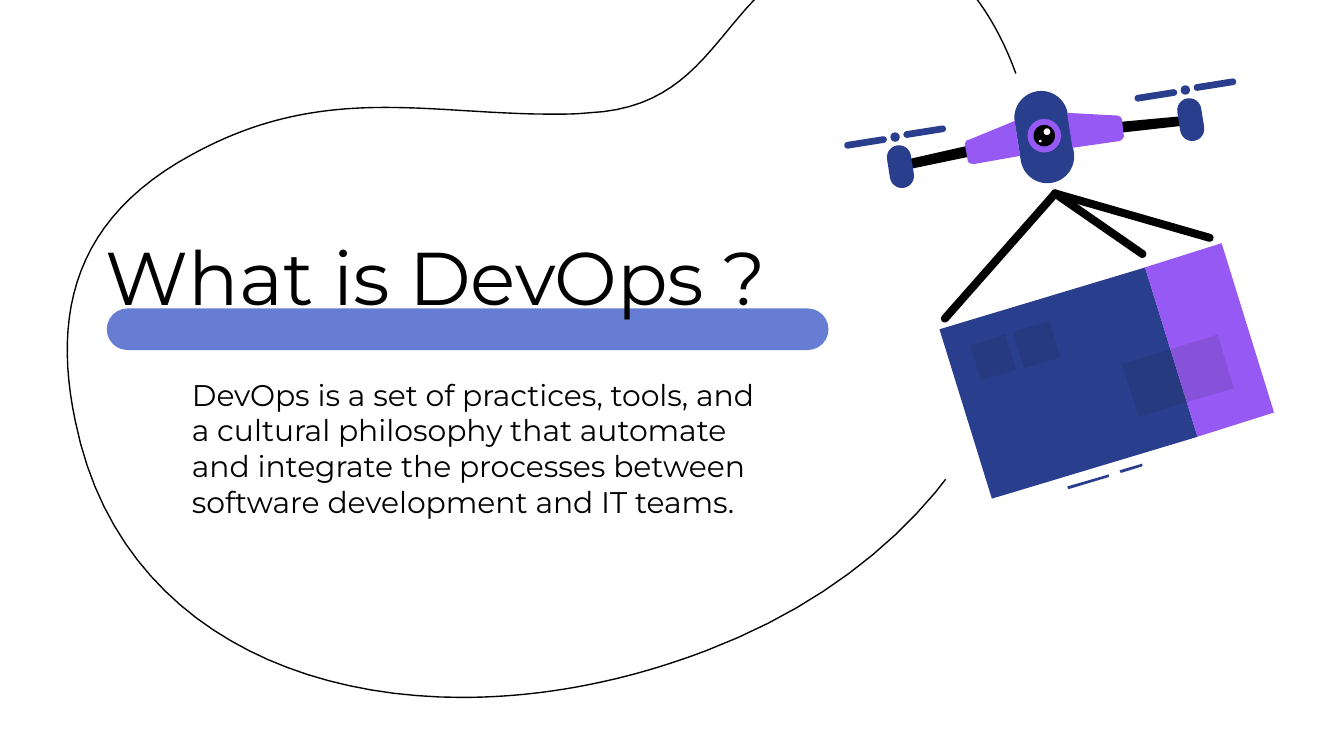
from math import atan2, degrees, hypot

from lxml.etree import SubElement
from pptx import Presentation
from pptx.dml.color import RGBColor
from pptx.enum.shapes import MSO_SHAPE as Shape
from pptx.enum.text import MSO_ANCHOR as Anchor, PP_ALIGN as Align
from pptx.oxml.ns import qn
from pptx.util import Inches, Pt

COLOURS = {
    "black": "000000",
    "white": "FFFFFF",
    "navy": "293E8D",
    "violet": "9659F4",
    "periwinkle": "677DD3",
    "shade": "1A2327",
}


class SlideArtist:
    font = "Montserrat"
    curve_steps = 24

    def __init__(self, slide):
        self.slide = slide

    def rgb(self, colour):
        return RGBColor.from_string(COLOURS[colour])

    def paint(self, shape, colour, opacity=100):
        shape.shadow.inherit = False
        shape.line.fill.background()
        shape.fill.solid()
        shape.fill.fore_color.rgb = self.rgb(colour)
        if opacity < 100:
            tint = shape.fill._xPr.find(qn("a:solidFill"))[0]
            SubElement(tint, qn("a:alpha"), val=str(opacity * 1000))

    def text(self, words, left, top, width, height, size, space_after=0):
        box = self.slide.shapes.add_textbox(
            Inches(left), Inches(top), Inches(width), Inches(height))
        frame = box.text_frame
        frame.word_wrap = True
        frame.vertical_anchor = Anchor.TOP
        frame.margin_left = frame.margin_right = Inches(0.1)
        frame.margin_top = frame.margin_bottom = Inches(0.1)
        paragraph = frame.paragraphs[0]
        paragraph.alignment = Align.LEFT
        paragraph.space_after = Pt(space_after)
        run = paragraph.add_run()
        run.text = words
        run.font.name = self.font
        run.font.size = Pt(size)
        run.font.color.rgb = self.rgb("black")

    def bar(self, x, y, width, height, colour, angle=0):
        shape = self.slide.shapes.add_shape(
            Shape.ROUNDED_RECTANGLE, Inches(x - width / 2),
            Inches(y - height / 2), Inches(width), Inches(height))
        shape.adjustments[0] = 0.5
        shape.rotation = angle
        self.paint(shape, colour)

    def rope(self, start, end, thickness=0.06):
        (x1, y1), (x2, y2) = start, end
        run, rise = x2 - x1, y2 - y1
        self.bar((x1 + x2) / 2, (y1 + y2) / 2, hypot(run, rise) + thickness,
                 thickness, "black", degrees(atan2(rise, run)))

    def circle(self, x, y, diameter, colour):
        shape = self.slide.shapes.add_shape(
            Shape.OVAL, Inches(x - diameter / 2), Inches(y - diameter / 2),
            Inches(diameter), Inches(diameter))
        self.paint(shape, colour)

    def trace(self, start, segments):
        points = [start]
        for segment in segments:
            if len(segment) == 2:
                points.append(segment)
                continue
            x0, y0 = points[-1]
            x1, y1, x2, y2, x3, y3 = segment
            for step in range(1, self.curve_steps + 1):
                t = step / self.curve_steps
                a, b, c, d = (1 - t) ** 3, 3 * t * (1 - t) ** 2, 3 * t * t * (1 - t), t ** 3
                points.append((a * x0 + b * x1 + c * x2 + d * x3,
                               a * y0 + b * y1 + c * y2 + d * y3))
        corners = [(Inches(x), Inches(y)) for x, y in points]
        builder = self.slide.shapes.build_freeform(*corners[0], scale=1.0)
        builder.add_line_segments(corners[1:], close=True)
        return builder.convert_to_shape()

    def area(self, start, segments, colour, opacity=100):
        self.paint(self.trace(start, segments), colour, opacity)

    def contour(self, start, segments, weight):
        shape = self.trace(start, segments)
        shape.shadow.inherit = False
        shape.fill.background()
        shape.line.color.rgb = self.rgb("black")
        shape.line.width = Pt(weight)


def draw_crate(artist):
    panels = [
        ([(8.25, 3.53), (7.94, 3.62), (7.95, 3.64), (8.25, 3.55)], "navy", 100),
        ([(8.5, 3.45), (8.33, 3.5), (8.34, 3.52), (8.5, 3.47)], "navy", 100),
        ([(8.52, 1.99), (6.99, 2.45), (7.38, 3.71), (8.91, 3.25)], "navy", 100),
        ([(9.09, 1.81), (8.52, 1.99), (8.91, 3.25), (9.48, 3.07)], "violet", 100),
        ([(9.06, 2.49), (8.35, 2.71), (8.47, 3.1), (9.18, 2.89)], "shade", 13),
        ([(7.48, 2.49), (7.22, 2.57), (7.3, 2.83), (7.56, 2.75)], "shade", 13),
        ([(7.81, 2.39), (7.54, 2.47), (7.62, 2.74), (7.89, 2.66)], "shade", 13),
    ]
    for corners, colour, opacity in panels:
        artist.area(corners[0], corners[1:], colour, opacity)


def draw_drone(artist):
    tilt = -9
    artist.bar(7.77, 1.02, 0.4, 0.69, "navy", tilt)
    for x, y, diameter, colour in [
        (7.77, 1.01, 0.25, "violet"), (7.77, 1.01, 0.16, "black"),
        (7.79, 0.98, 0.05, "white"), (7.74, 1.05, 0.02, "white"),
    ]:
        artist.circle(x, y, diameter, colour)

    artist.area((8.85, 0.86), [(8.31, 0.91), (8.32, 0.99), (8.86, 0.93)], "black")
    artist.area((7.22, 1.08), [(6.69, 1.2), (6.71, 1.27), (7.24, 1.16)], "black")
    artist.area((7.94, 0.84), [
        (7.98, 1.1), (8.33, 1.05), (8.35, 1.04, 8.37, 1.02, 8.36, 1),
        (8.35, 0.9), (8.35, 0.88, 8.33, 0.86, 8.31, 0.86)], "violet")
    artist.area((7.55, 0.9), [
        (7.21, 1.04), (7.19, 1.04, 7.18, 1.06, 7.18, 1.08), (7.2, 1.19),
        (7.2, 1.21, 7.22, 1.22, 7.25, 1.22), (7.59, 1.16)], "violet")

    for hub_x, hub_y in [(8.82, 0.67), (6.66, 1.02)]:
        artist.bar(hub_x + 0.04, hub_y + 0.22, 0.18, 0.32, "navy", tilt)
        artist.circle(hub_x, hub_y, 0.07, "navy")
        for side in (-1, 1):
            artist.bar(hub_x + side * 0.22, hub_y - side * 0.04, 0.32, 0.05, "navy", tilt)

    for end in [(9, 1.77), (8.5, 1.89), (7.03, 2.37)]:
        artist.rope((7.85, 1.44), end)


def main():
    deck = Presentation()
    deck.slide_width, deck.slide_height = Inches(10), Inches(5.625)
    artist = SlideArtist(deck.slides.add_slide(deck.slide_layouts[6]))

    artist.contour((6.51, -0.44), [
        (6.36, -0.44, 6.19, -0.4, 6.01, -0.31),
        (5.34, 0.04, 5.29, 0.8, 4.38, 0.84),
        (4.29, 0.85, 4.2, 0.85, 4.11, 0.85),
        (3.67, 0.85, 3.27, 0.8, 2.87, 0.8),
        (2.4, 0.8, 1.94, 0.87, 1.43, 1.15),
        (0.56, 1.62, 0.39, 2.32, 0.56, 3.13),
        (0.84, 4.53, 2.05, 5.19, 3.44, 5.19),
        (4.04, 5.19, 4.66, 5.07, 5.26, 4.84),
        (7.17, 4.11, 8.05, 2.42, 7.62, 0.74),
        (7.48, 0.23, 7.12, -0.44, 6.51, -0.44)], 0.75)

    artist.bar(3.48, 2.45, 5.37, 0.31, "periwinkle")
    artist.text("What is DevOps ?", 0.69, 1.62, 5.5, 0.79, 40)
    artist.text(
        "DevOps is a set of practices, tools, and a cultural philosophy that automate "
        "and integrate the processes between software development and IT teams.",
        1.33, 2.7, 4.54, 1.12, 16, space_after=16)

    artist.circle(8.07, 2.19, 3.44, "white")
    draw_crate(artist)
    draw_drone(artist)
    deck.save("out.pptx")


if __name__ == "__main__":
    main()
